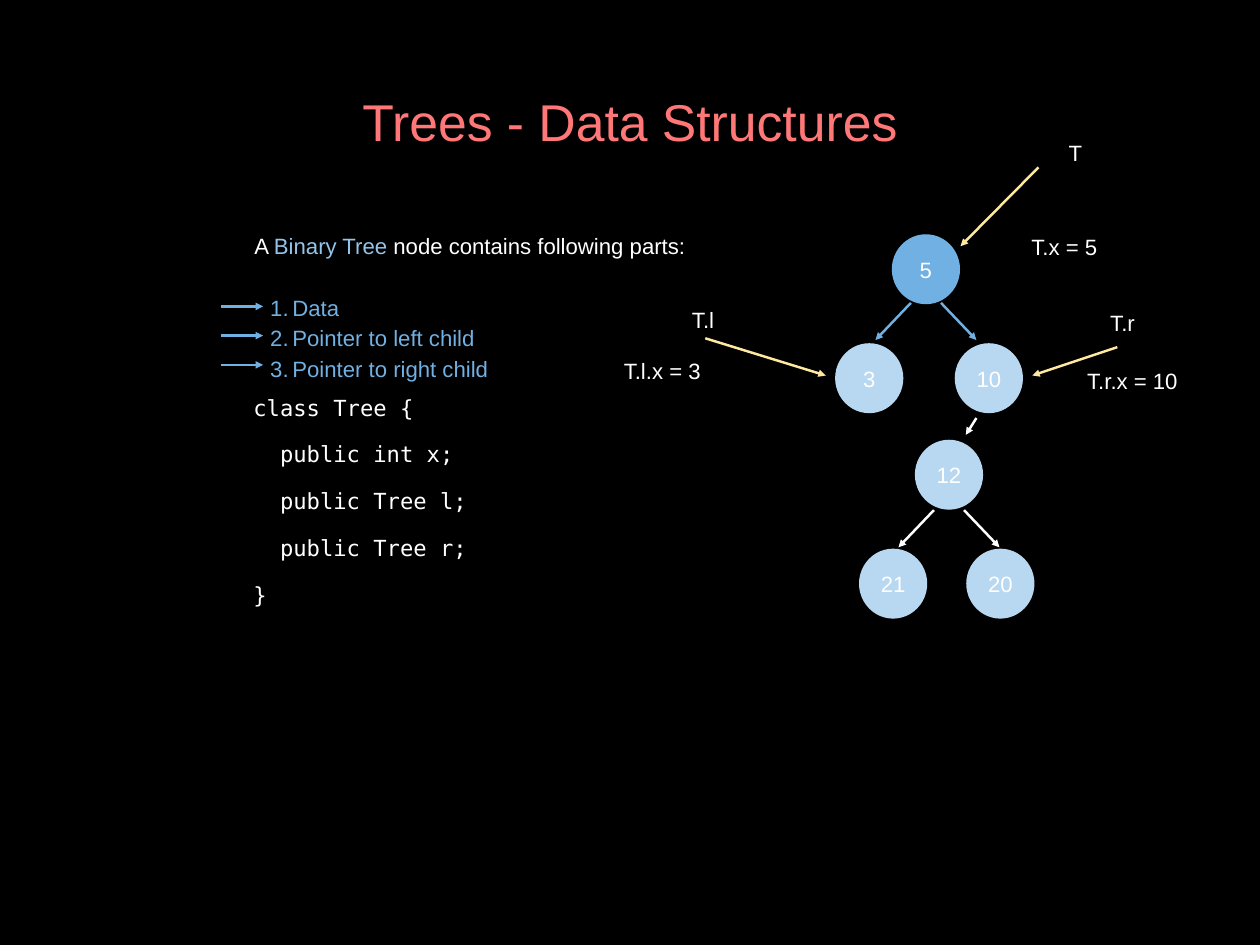
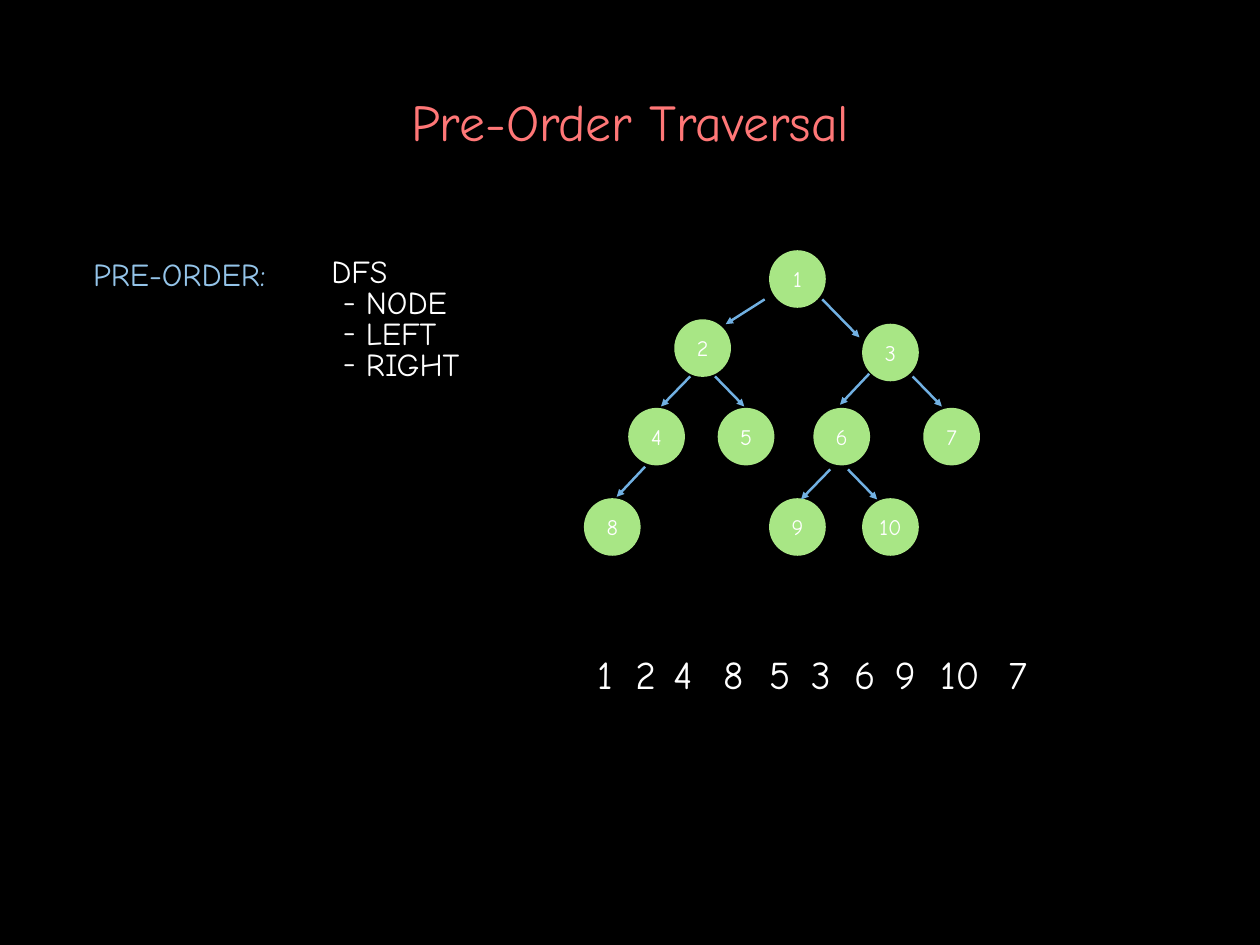
from pptx import Presentation
from pptx import util as u
from pptx.dml.color import RGBColor
from pptx.enum import shapes, text
from pptx.oxml.ns import qn
from lxml import etree

BLACK = RGBColor(0x00, 0x00, 0x00)
WHITE = RGBColor(0xFF, 0xFF, 0xFF)
CORAL = RGBColor(0xFF, 0x77, 0x77)
BLUE = RGBColor(0x71, 0xB0, 0xE2)
SKY = RGBColor(0x94, 0xC4, 0xE9)
PALE = RGBColor(0xB8, 0xD7, 0xF0)
GREEN = RGBColor(0xA8, 0xE6, 0x85)
SAND = RGBColor(0xFF, 0xE8, 0xA0)

SANS, COMIC, MONO = "Arial", "Comic Neue", "DejaVu Sans Mono"
COLS, ROWS = 142.2, 106.7
CELL = u.Inches(0.1)
LINE = u.Pt(25)
PAD = u.Inches(0.06)
MID = text.PP_ALIGN.CENTER
FRAME = {"margin_left": PAD, "margin_top": PAD, "margin_right": PAD,
         "margin_bottom": PAD, "auto_size": text.MSO_AUTO_SIZE.NONE,
         "vertical_anchor": text.MSO_ANCHOR.MIDDLE}


def apply(item, values):
    for key, value in values.items():
        setattr(item, key, value)


def grid(*cells):
    return [int(cell * CELL) for cell in cells]


def place(shape, *cells):
    apply(shape, dict(zip(("left", "top", "width", "height"), grid(*cells))))


def mark(para, kind, indent, hang, **attrs):
    props = para._p.get_or_add_pPr()
    left, first = grid(indent, -hang)
    props.set("marL", str(left))
    props.set("indent", str(first))
    if kind == "buChar":
        etree.SubElement(props, qn("a:buFont"), typeface=COMIC)
    etree.SubElement(props, qn("a:" + kind), **attrs)


def write(para, parts, font, size, **form):
    apply(para, form)
    for words, color in parts:
        run = para.add_run()
        run.text = words
        apply(run.font, {"name": font, "size": u.Pt(size)})
        run.font.color.rgb = color


def lines(shape, count, wrap=True):
    frame = shape.text_frame
    apply(frame, {**FRAME, "word_wrap": wrap})
    return [frame.paragraphs[0]] + [frame.add_paragraph() for _ in range(count - 1)]


def label(slide, words, spot, font, size, color=WHITE, gap=LINE):
    rows = words.split("\n")
    box = slide.shapes.add_textbox(*grid(*spot))
    for para, row in zip(lines(box, len(rows), False), rows):
        write(para, [(row, color)], font, size, line_spacing=gap)


def node(slide, words, x, y, wide, high, fill, font):
    disc = slide.shapes.add_shape(shapes.MSO_SHAPE.OVAL,
                                  *grid(x - wide / 2, y - high / 2, wide, high))
    disc.shadow.inherit = False
    disc.fill.solid()
    disc.fill.fore_color.rgb = fill
    disc.line.fill.background()
    write(lines(disc, 1, False)[0], [(words, WHITE)], font, 18, alignment=MID)


def arrow(slide, color, *ends):
    line = slide.shapes.add_connector(shapes.MSO_CONNECTOR.STRAIGHT, *grid(*ends))
    line.line.width = u.Pt(2)
    line.line.color.rgb = color
    etree.SubElement(line.line._get_or_add_ln(), qn("a:tailEnd"), type="triangle")
    etree.SubElement(line._element.spPr, qn("a:effectLst"))


def fork(slide, color, x, y):
    for side in (-1, 1):
        arrow(slide, color, x + side * 1.7, y + 3.8, x + side * 5.7, y + 8)


def start(deck, title, font):
    slide = deck.slides.add_slide(deck.slide_layouts[1])
    head, body = slide.placeholders
    write(lines(head, 1)[0], [(title, CORAL)], font, 42, alignment=MID)
    return slide, body


def trees(deck):
    slide, body = start(deck, "Trees - Data Structures", SANS)
    place(body, 28.1, 25.2, 77.4, 18.5)
    parts = ["Data", "Pointer to left child", "Pointer to right child"]
    intro, *items = lines(body, 1 + len(parts))
    mark(intro, "buNone", 0, 0)
    write(intro, [("A ", WHITE), ("Binary Tree", SKY),
                  (" node contains following parts:", WHITE)],
          SANS, 18, line_spacing=LINE, space_before=0, space_after=LINE)
    for row, (para, words) in enumerate(zip(items, parts)):
        mark(para, "buAutoNum", 4.3, 2.5, type="arabicPeriod")
        write(para, [(words, BLUE)], SANS, 18, line_spacing=LINE, space_before=0)
        level = 34.6 + 3.3 * row
        arrow(slide, BLUE, 24.9, level, 29.7, level)

    code = ("class Tree {\n  public int x;\n  public Tree l;\n"
            "  public Tree r;\n}")
    label(slide, code, (28, 41.6, 25.3, 27.6), MONO, 18, gap=u.Pt(38))

    nodes = [("5", 104.5, 30.4, BLUE), ("3", 98.1, 42.7, PALE),
             ("10", 111.6, 42.7, PALE), ("12", 107.1, 53.6, PALE),
             ("21", 100.8, 65.9, PALE), ("20", 112.9, 65.9, PALE)]
    for words, x, y, fill in nodes:
        node(slide, words, x, y, 7.7, 7.9, fill, SANS)
    fork(slide, BLUE, 104.5, 30.4)
    fork(slide, WHITE, 107.1, 53.8)
    arrow(slide, WHITE, 110.2, 47.2, 109, 49.1)

    for ends in [(117.2, 18.9, 108.4, 27.8), (79.6, 38.2, 93.2, 42.4),
                 (126.1, 39.2, 116.5, 42.4)]:
        arrow(slide, SAND, *ends)
    for words, x, y, wide in [("T", 120, 14.7, 3.3), ("T.x = 5", 115.8, 25.3, 14.5),
                              ("T.l", 77.5, 33.6, 5.3), ("T.r", 124.7, 33.9, 6.7),
                              ("T.l.x = 3", 69.8, 39.3, 14.5),
                              ("T.r.x = 10", 122.1, 40.5, 18.7)]:
        label(slide, words, (x, y, wide, 4.6), SANS, 18)


def walk(deck):
    slide, body = start(deck, "Pre-Order Traversal", COMIC)
    place(body, 36.8, 28.6, 21, 15.3)
    steps = ["DFS", "NODE", "LEFT", "RIGHT"]
    for para, words in zip(lines(body, len(steps)), steps):
        if words == steps[0]:
            mark(para, "buNone", 0, 0)
        else:
            mark(para, "buChar", 3.9, 2.6, char="-")
        write(para, [(words, WHITE)], COMIC, 26, line_spacing=LINE, space_before=0)
    label(slide, "PRE-ORDER:", (9.9, 29, 26.6, 4.6), COMIC, 26, SKY)

    spots = [(90, 31.5), (79.3, 39.3), (100.5, 39.8), (74.1, 49.3), (84.2, 49.3),
             (95, 49.3), (107.4, 49.3), (69.1, 59.5), (90, 59.5), (100.5, 59.5)]
    for count, (x, y) in enumerate(spots, 1):
        node(slide, str(count), x, y, 6.4, 6.5, GREEN, COMIC)

    for ends in [(86.3, 33.8, 81.9, 36.6), (92.8, 33.8, 97, 38.1),
                 (77.9, 42.5, 74.6, 45.9), (80.7, 42.5, 84, 45.9),
                 (98.1, 42.2, 94.8, 45.7), (103, 42.5, 106.3, 45.9),
                 (72.8, 52.7, 69.6, 56.1), (93.7, 53, 90.4, 56.4),
                 (95.7, 53, 99, 56.4)]:
        arrow(slide, BLUE, *ends)

    order = {1: 66.8, 2: 71.1, 4: 75.4, 8: 81, 5: 86.2, 3: 90.9,
             6: 95.8, 9: 100.4, 10: 105.5, 7: 113.2}
    for count, x in order.items():
        words = str(count)
        label(slide, words, (x, 66.5, 1.2 + 3 * len(words), 21), COMIC, 32)


def main():
    deck = Presentation()
    apply(deck, dict(zip(("slide_width", "slide_height"), grid(COLS, ROWS))))
    back = deck.slide_master.background.fill
    back.solid()
    back.fore_color.rgb = BLACK
    place(deck.slide_layouts[1].placeholders[0], 9.9, 9.4, 122.4, 8.5)
    trees(deck)
    walk(deck)
    deck.save("out.pptx")


if __name__ == "__main__":
    main()
